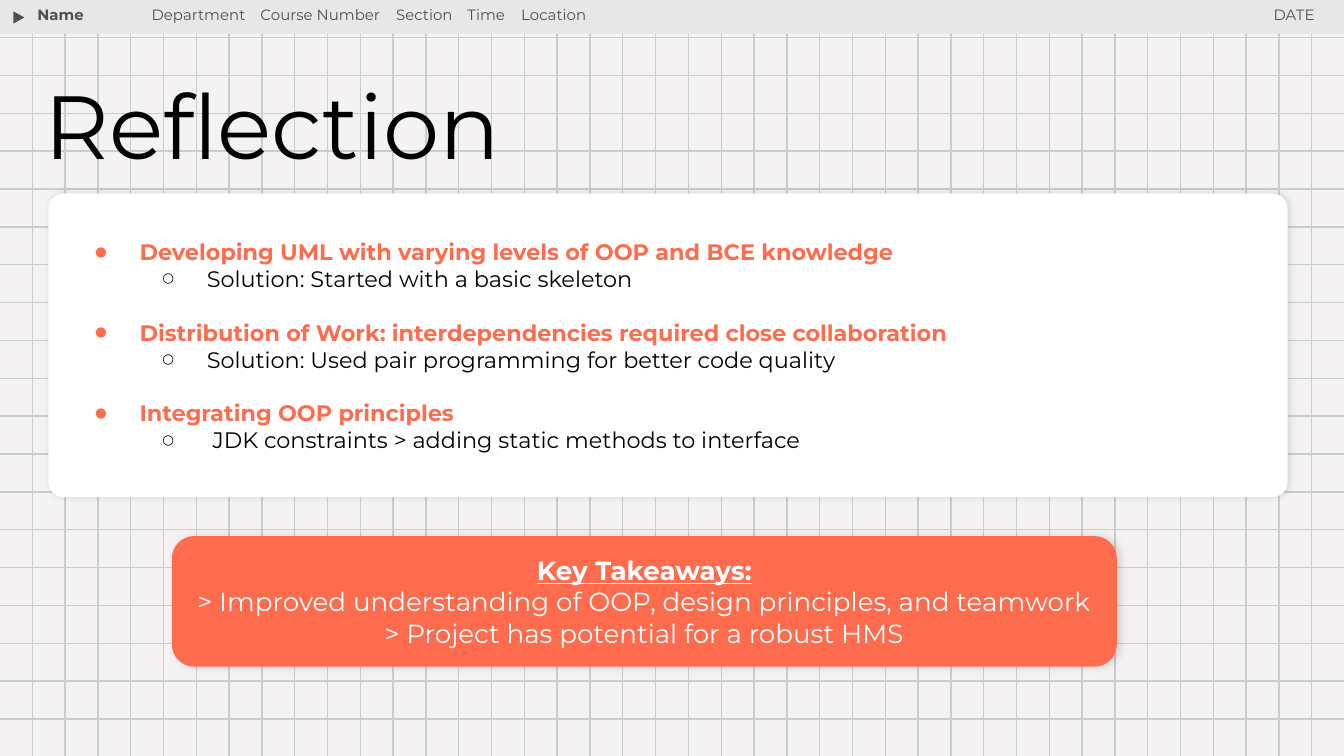
"""Build the Reflection slide with its challenges card and key takeaways."""
from dataclasses import dataclass

from lxml import etree
from pptx import Presentation
from pptx.dml.color import RGBColor
from pptx.enum.shapes import MSO_CONNECTOR, MSO_SHAPE
from pptx.enum.text import MSO_ANCHOR, PP_ALIGN
from pptx.oxml.ns import qn
from pptx.util import Inches, Pt

STRAIGHT = MSO_CONNECTOR.STRAIGHT
RECTANGLE = MSO_SHAPE.RECTANGLE
ROUNDED = MSO_SHAPE.ROUNDED_RECTANGLE
TRIANGLE = MSO_SHAPE.ISOSCELES_TRIANGLE
TOP, MIDDLE = MSO_ANCHOR.TOP, MSO_ANCHOR.MIDDLE
LEFT, CENTER, RIGHT = PP_ALIGN.LEFT, PP_ALIGN.CENTER, PP_ALIGN.RIGHT

WIDTH = 10
HEIGHT = WIDTH * 9 / 16
HEADER_TABS = (0.81, 1.82, 2.35, 2.75)
COURSE_FIELDS = ("Department", "Course Number", "Section", "Time", "Location")
CHALLENGES = (
    ("Developing UML with varying levels of OOP and BCE knowledge",
     "Solution: Started with a basic skeleton"),
    ("Distribution of Work: interdependencies required close collaboration",
     "Solution: Used pair programming for better code quality"),
    ("Integrating OOP principles",
     " JDK constraints > adding static methods to interface"),
)
TAKEAWAYS = (
    "Key Takeaways:",
    "> Improved understanding of OOP, design principles, and teamwork",
    "> Project has potential for a robust HMS",
)


@dataclass(frozen=True)
class Theme:
    """Colours, font and type sizes of the slide."""
    font: str = "Montserrat"
    background: str = "F4F2F2"
    grid: str = "CCCCCC"
    bar: str = "E7E7E7"
    muted: str = "4F4F4F"
    ink: str = "000000"
    paper: str = "FFFFFF"
    accent: str = "FF6B4D"
    header_size: float = 8
    body_size: float = 12
    takeaway_size: float = 14
    title_size: float = 48
    group_gap: float = 14.5


def rgb(code):
    """Turn a hex code into a colour."""
    return RGBColor.from_string(code)


def box(left, top, width, height):
    """Turn a rectangle in inches into lengths."""
    return [Inches(value) for value in (left, top, width, height)]


def spread(first, last, count):
    """Place positions evenly from first to last."""
    return [first + (last - first) * i / (count - 1) for i in range(count)]


class SlideBuilder:
    """Hold the theme and the current slide, and draw each kind of element."""

    def __init__(self, slide, theme):
        """Keep the slide and theme and paint the background."""
        self.slide, self.theme = slide, theme
        slide.background.fill.solid()
        slide.background.fill.fore_color.rgb = rgb(theme.background)

    def grid(self, rows, columns):
        """Draw the background grid as one group of lines."""
        lines = self.slide.shapes.add_group_shape().shapes
        ends = [(0, y, WIDTH, y) for y in rows] + [(x, 0, x, HEIGHT) for x in columns]
        for end in ends:
            line = lines.add_connector(STRAIGHT, *box(*end))
            line.line.color.rgb = rgb(self.theme.grid)
            line.line.width = Pt(0.75)
            etree.SubElement(line._element.spPr, qn("a:effectLst"))

    def shape(self, preset, bounds, fill, outline=None, rotation=0):
        """Draw a filled preset shape."""
        shape = self.slide.shapes.add_shape(preset, *box(*bounds))
        shape.shadow.inherit = False
        shape.fill.solid()
        shape.fill.fore_color.rgb = rgb(fill)
        shape.rotation = rotation
        if outline:
            shape.line.color.rgb = rgb(outline)
            shape.line.width = Pt(0.75)
        else:
            shape.line.fill.background()
        return shape

    def card(self, bounds, fill, roundness):
        """Draw a rounded card with a soft shadow."""
        card = self.shape(ROUNDED, bounds, fill)
        card.adjustments[0] = roundness
        effects = card._element.spPr.find(qn("a:effectLst"))
        shadow = etree.SubElement(effects, qn("a:outerShdw"), blurRad=str(Pt(4.5)),
                                  dist=str(Pt(1.5)), dir="0", algn="bl", rotWithShape="0")
        color = etree.SubElement(shadow, qn("a:srgbClr"), val=self.theme.ink)
        etree.SubElement(color, qn("a:alpha"), val="12000")
        return card

    def frame(self, holder, anchor=TOP, top=0.1):
        """Set the wrapping, insets and anchor of a text frame."""
        frame = holder.text_frame
        frame.word_wrap = True
        frame.vertical_anchor = anchor
        frame.margin_left = frame.margin_right = frame.margin_bottom = Inches(0.1)
        frame.margin_top = Inches(top)
        return frame

    def style(self, paragraph, size, color, bold=False, underline=False, align=LEFT):
        """Format a paragraph and its runs."""
        paragraph.alignment = align
        for run in paragraph.runs:
            font = run.font
            font.name, font.size = self.theme.font, Pt(size)
            font.bold, font.underline = bold, underline
            font.color.rgb = rgb(color)

    def title(self, text, bounds):
        """Fill the title placeholder and bring it in front of the grid."""
        title = self.slide.shapes.title
        title.left, title.top, title.width, title.height = box(*bounds)
        frame = self.frame(title)
        frame.text = text
        frame.paragraphs[0].line_spacing = 0.9
        self.style(frame.paragraphs[0], self.theme.title_size, self.theme.ink)
        self.slide.shapes._spTree.append(title._element)

    def header(self, text, bounds, bold=False, align=LEFT, tabs=()):
        """Write a label in the header bar."""
        frame = self.frame(self.slide.shapes.add_textbox(*box(*bounds)), top=0.13)
        frame.text = text
        paragraph = frame.paragraphs[0]
        self.style(paragraph, self.theme.header_size, self.theme.muted, bold, align=align)
        if tabs:
            stops = etree.SubElement(paragraph._p.get_or_add_pPr(), qn("a:tabLst"))
            for tab in tabs:
                etree.SubElement(stops, qn("a:tab"), pos=str(Inches(tab)), algn="l")

    def bullet(self, paragraph, mark, color, indent):
        """Give a paragraph a coloured bullet and a hanging indent."""
        properties = paragraph._p.get_or_add_pPr()
        properties.set("marL", str(Inches(indent)))
        properties.set("indent", str(Inches(-0.33)))
        bullet_color = etree.SubElement(properties, qn("a:buClr"))
        etree.SubElement(bullet_color, qn("a:srgbClr"), val=color)
        etree.SubElement(properties, qn("a:buSzPct"), val="60000")
        etree.SubElement(properties, qn("a:buFont"), typeface=self.theme.font)
        etree.SubElement(properties, qn("a:buChar"), char=mark)

    def challenges(self, pairs, bounds):
        """List each challenge with its solution one level below."""
        theme = self.theme
        frame = self.frame(self.slide.shapes.add_textbox(*box(*bounds)))
        frame.text = "\n".join(line for pair in pairs for line in pair)
        for index, paragraph in enumerate(frame.paragraphs):
            level = index % 2
            color = theme.ink if level else theme.accent
            paragraph.level = level
            if index and not level:
                paragraph.space_before = Pt(theme.group_gap)
            self.style(paragraph, theme.body_size, color, bold=not level)
            self.bullet(paragraph, "●○"[level], color, 0.5 + 0.5 * level)

    def takeaways(self, lines, bounds):
        """Write the takeaways on an accent card under a bold heading."""
        theme = self.theme
        frame = self.frame(self.card(bounds, theme.accent, 0.17), MIDDLE)
        frame.text = "\n".join(lines)
        for index, paragraph in enumerate(frame.paragraphs):
            heading = index == 0
            self.style(paragraph, theme.takeaway_size, theme.paper, heading, heading, CENTER)


def main():
    """Build and save the slide."""
    deck = Presentation()
    deck.slide_width, deck.slide_height = Inches(WIDTH), Inches(HEIGHT)
    theme = Theme()
    page = SlideBuilder(deck.slides.add_slide(deck.slide_layouts[5]), theme)
    page.grid(spread(0.28, 5.35, 19), spread(0.24, 9.76, 40))
    page.shape(RECTANGLE, (0, 0, WIDTH, 0.25), theme.bar)
    page.shape(TRIANGLE, (0.09, 0.08, 0.11, 0.1), theme.muted, theme.bar, 90)
    page.card((0.36, 1.44, 9.22, 2.26), theme.paper, 0.05)
    page.title("Reflection", (0.23, 0.51, 5.49, 0.93))
    page.header("Name", (0.18, -0.04, 1.28, 0.47), bold=True)
    page.header("\t".join(COURSE_FIELDS), (1.03, -0.04, 4.17, 0.47), tabs=HEADER_TABS)
    page.challenges(CHALLENGES, (0.44, 1.67, 8.72, 1.82))
    page.header("DATE", (8.21, -0.04, 1.67, 0.47), align=RIGHT)
    page.takeaways(TAKEAWAYS, (1.28, 3.99, 7.03, 0.97))
    deck.save("out.pptx")


if __name__ == "__main__":
    main()
